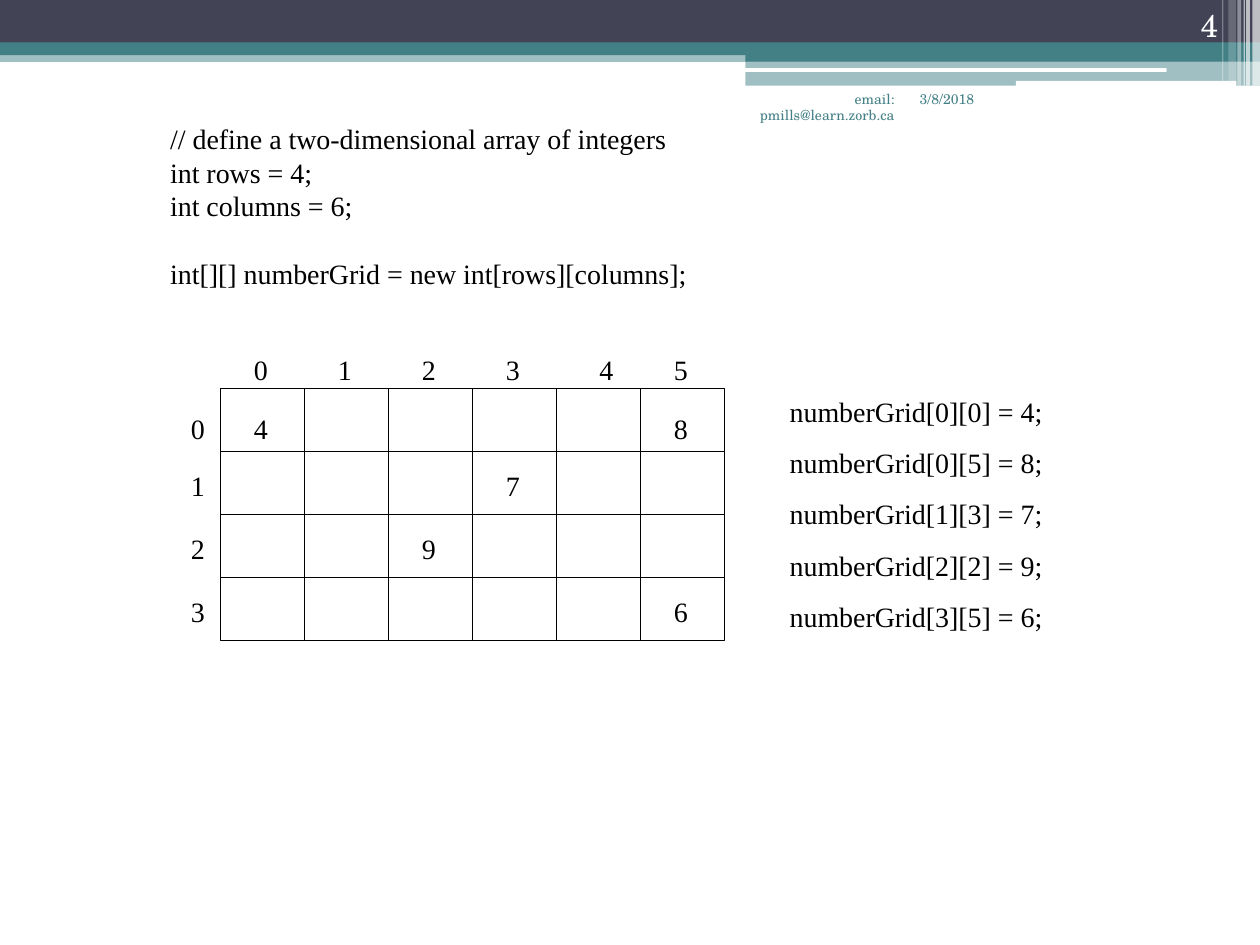
from dataclasses import dataclass
from lxml import etree
from pptx import Presentation
from pptx.dml.color import RGBColor
from pptx.enum.shapes import MSO_SHAPE
from pptx.enum.text import MSO_ANCHOR, MSO_AUTO_SIZE, PP_ALIGN
from pptx.oxml.ns import qn
from pptx.util import Inches, Pt

RECT, ROUNDED = MSO_SHAPE.RECTANGLE, MSO_SHAPE.ROUNDED_RECTANGLE
LEFT, RIGHT = PP_ALIGN.LEFT, PP_ALIGN.RIGHT
TOP, BOTTOM = MSO_ANCHOR.TOP, MSO_ANCHOR.BOTTOM
GROW, FIXED = MSO_AUTO_SIZE.SHAPE_TO_FIT_TEXT, MSO_AUTO_SIZE.NONE
COLUMNS, ROWS = 120, 90
TWO_CONTENT = 3


@dataclass(frozen=True)
class Theme:
    navy: str = "424456"
    teal: str = "438086"
    white: str = "FFFFFF"
    black: str = "000000"
    code_font: str = "Times New Roman"
    header_font: str = "TeX Gyre Schola"
    code_size: float = 16
    header_size: float = 8
    number_size: float = 18
    outline: float = 0.75
    gap: float = 10
    line_height: float = 19.3


class Deck:
    def __init__(self, theme):
        self.theme = theme
        self.presentation = Presentation()
        self.presentation.slide_width = Inches(10)
        self.presentation.slide_height = Inches(7.5)
        layout = self.presentation.slide_layouts[TWO_CONTENT]
        self.slide = self.presentation.slides.add_slide(layout)
        heading = self.slide.shapes.title.element
        heading.getparent().remove(heading)

    def area(self, left, top, width, height):
        across = self.presentation.slide_width / COLUMNS
        down = self.presentation.slide_height / ROWS
        return [round(n) for n in (left * across, top * down, width * across, height * down)]

    def band(self, area, color, opacity=100, form=RECT):
        band = self.slide.shapes.add_shape(form, *self.area(*area))
        band.shadow.inherit = False
        band.line.fill.background()
        band.fill.solid()
        band.fill.fore_color.rgb = RGBColor.from_string(color)
        if opacity < 100:
            tint = band.fill._xPr.find(qn("a:solidFill"))[0]
            etree.SubElement(tint, qn("a:alpha")).set("val", str(opacity * 1000))

    def cell(self, area):
        cell = self.slide.shapes.add_shape(RECT, *self.area(*area))
        cell.shadow.inherit = False
        cell.fill.background()
        cell.line.color.rgb = RGBColor.from_string(self.theme.black)
        cell.line.width = Pt(self.theme.outline)

    def style(self, paragraph, font, size, color, align=LEFT):
        paragraph.alignment = align
        paragraph.font.name = font
        paragraph.font.size = Pt(size)
        paragraph.font.color.rgb = RGBColor.from_string(color)

    def code_style(self, paragraph):
        self.style(paragraph, self.theme.code_font, self.theme.code_size, self.theme.black)

    def listing(self, index, area, lines, gaps):
        body = self.slide.placeholders[index]
        body.left, body.top, body.width, body.height = self.area(*area)
        frame = body.text_frame
        frame.text = "\n".join(lines)
        frame.word_wrap = False
        frame.auto_size = GROW
        for paragraph, gap in zip(frame.paragraphs, gaps):
            self.code_style(paragraph)
            paragraph.space_before = Pt(gap)
            properties = paragraph._p.get_or_add_pPr()
            properties.set("marL", "0")
            properties.set("indent", "0")
            bullet = etree.Element(qn("a:buNone"))
            properties.find(qn("a:spcBef")).addnext(bullet)

    def digit(self, left, top, value):
        frame = self.slide.shapes.add_textbox(*self.area(left, top, 4, 4.4)).text_frame
        frame.text = str(value)
        frame.word_wrap = False
        frame.auto_size = GROW
        self.code_style(frame.paragraphs[0])

    def header(self, area, text, size, color, align=LEFT, anchor=TOP):
        frame = self.slide.shapes.add_textbox(*self.area(*area)).text_frame
        frame.text = text
        frame.word_wrap = True
        frame.auto_size = FIXED
        frame.vertical_anchor = anchor
        self.style(frame.paragraphs[0], self.theme.header_font, size, color, align)

    def save(self):
        self.presentation.save("out.pptx")


def main():
    theme = Theme()
    deck = Deck(theme)

    deck.band((0, 4.8, 120, 1.1), theme.teal, 50)
    deck.band((0, 0, 120, 4.1), theme.navy)
    deck.band((0, 4.05, 120, 1.2), theme.teal)
    deck.band((71, 4.7, 49, 1.15), theme.teal)
    deck.band((71, 5.8, 49, 2.35), theme.teal, 50)
    deck.band((70.9, 6.5, 40.2, 0.36), theme.white, form=ROUNDED)
    deck.band((96.75, 7.7, 21, 0.48), theme.white, form=ROUNDED)
    stripes = [
        (119.28, 0.72, 8.16, 65), (118.68, 0.36, 8.16, 65), (118.44, 0.12, 8.16, 60),
        (117.84, 0.36, 8.16, 40), (117, 0.72, 7.7, 20), (116.4, 0.12, 7.7, 30),
    ]
    for left, width, height, opacity in stripes:
        deck.band((left, 0, width, height), theme.white, opacity)

    definition = [
        "// define a two-dimensional array of integers",
        "int rows = 4;",
        "int columns = 6;",
        "int[][] numberGrid = new int[rows][columns];",
    ]
    deck.listing(1, (15, 11, 76, 17.2), definition, [theme.gap, 0, 0, theme.line_height])

    values = {(0, 0): 4, (0, 5): 8, (1, 3): 7, (2, 2): 9, (3, 5): 6}
    assignments = [f"numberGrid[{row}][{column}] = {value};"
                   for (row, column), value in values.items()]
    deck.listing(2, (74, 37, 36, 23.9), assignments, [theme.gap] * len(assignments))

    digit_lefts = [23 + 8 * column for column in range(6)]
    digit_tops = [38.6, 44, 50, 56]
    for row, top in enumerate(digit_tops):
        deck.digit(17, top, row)
        for column in range(6):
            deck.cell((21 + 8 * column, 37 + 6 * row, 8, 6))
    for column, left in enumerate(digit_lefts):
        deck.digit(left + (0.9 if column == 4 else 0), 33, column)
    for (row, column), value in values.items():
        deck.digit(digit_lefts[column], digit_tops[row], value)

    deck.header((86.4, 8, 12.6, 6), "3/8/2018", theme.header_size, theme.teal)
    deck.header((69, 8, 17.4, 6), "email: pmills@learn.zorb.ca", theme.header_size,
                theme.teal, RIGHT)
    deck.header((107.3, 0, 9.9, 4.8), "4", theme.number_size, theme.white, RIGHT, BOTTOM)
    deck.save()


if __name__ == "__main__":
    main()
